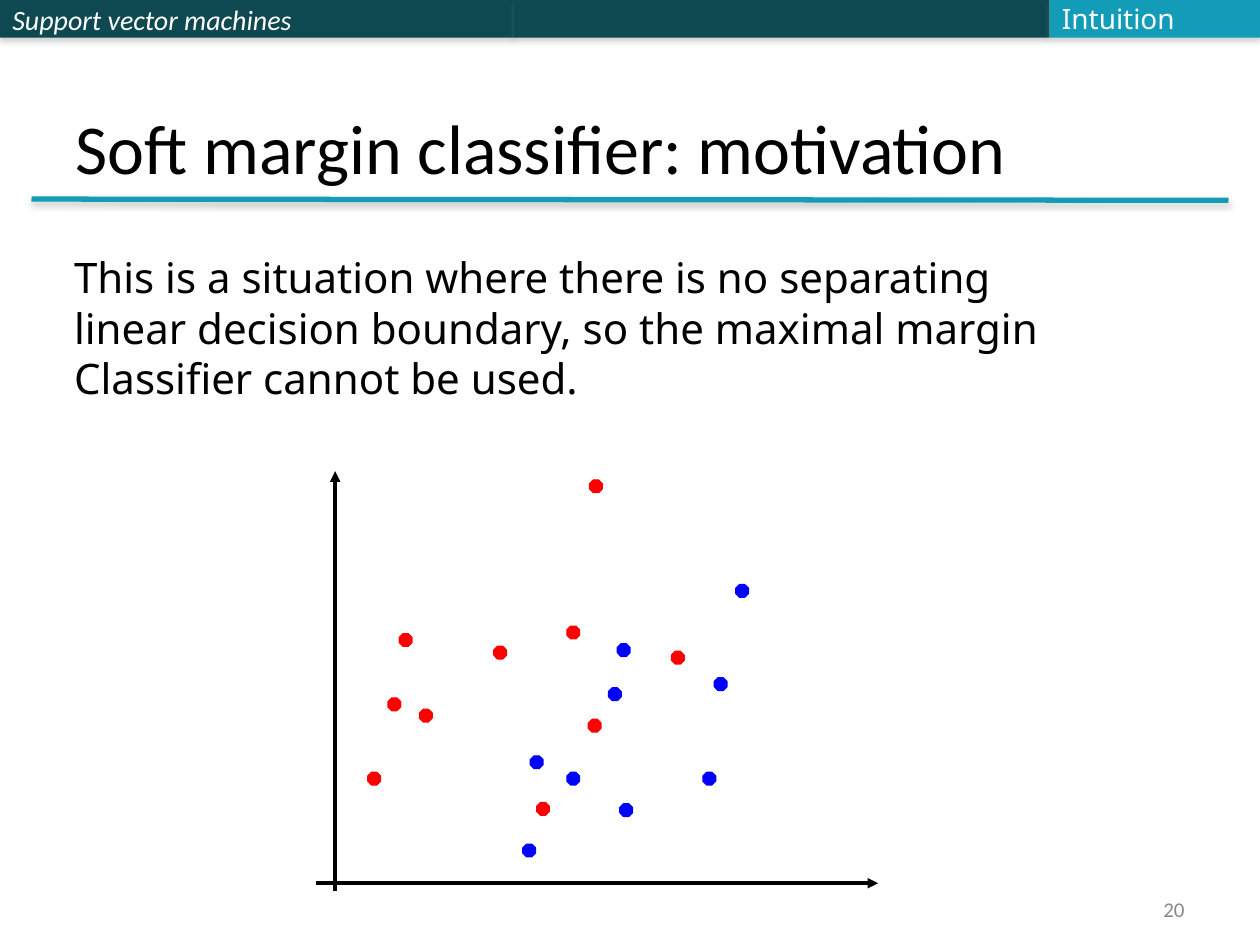
from lxml import etree
from pptx import Presentation
from pptx.dml.color import RGBColor
from pptx.enum.shapes import MSO_CONNECTOR, MSO_SHAPE
from pptx.enum.text import MSO_ANCHOR, PP_ALIGN
from pptx.oxml.ns import qn
from pptx.util import Inches, Pt

RECTANGLE, OCTAGON = MSO_SHAPE.RECTANGLE, MSO_SHAPE.OCTAGON
STRAIGHT = MSO_CONNECTOR.STRAIGHT
TOP, MIDDLE, BOTTOM = MSO_ANCHOR.TOP, MSO_ANCHOR.MIDDLE, MSO_ANCHOR.BOTTOM
LEFT, RIGHT = PP_ALIGN.LEFT, PP_ALIGN.RIGHT

COLORS = {
    "dark teal": "0E4851", "teal": "139CB7", "shadow": "808080",
    "black": "000000", "white": "FFFFFF", "off white": "FBFCFF",
    "gray": "898989", "red": "FF0000", "blue": "0000FF",
}


def write(shape, lines, font, size, color, anchor=TOP, align=LEFT, italic=False):
    """Fill a shape with one paragraph per line, all in one style."""
    frame = shape.text_frame
    frame.vertical_anchor = anchor
    for index, line in enumerate(lines):
        paragraph = frame.add_paragraph() if index else frame.paragraphs[0]
        paragraph.alignment = align
        run = paragraph.add_run()
        run.text = line
        run.font.name = font
        run.font.size = Pt(size)
        run.font.italic = italic
        run.font.color.rgb = RGBColor.from_string(COLORS[color])


def set_shadow(shape, opacity=0, distance=0):
    """Replace the theme shadow by a soft one below, or by none."""
    properties = shape._element.spPr
    effects = etree.SubElement(properties, qn("a:effectLst"))
    if opacity:
        outer = etree.SubElement(
            effects, qn("a:outerShdw"), blurRad=str(Pt(3.1)),
            dist=str(Pt(distance)), dir="5400000", rotWithShape="0")
        tone = etree.SubElement(outer, qn("a:srgbClr"), val=COLORS["shadow"])
        etree.SubElement(tone, qn("a:alpha"), val=str(opacity * 1000))


prs = Presentation()
prs.slide_width, prs.slide_height = Inches(10), Inches(7.5)
slide = prs.slides.add_slide(prs.slide_layouts[5])
shapes = slide.shapes

# Header bar
header_parts = []
for left, width, color in [(0, 4.08, "dark teal"), (4.08, 4.25, "dark teal"),
                           (8.33, 1.67, "teal")]:
    part = shapes.add_shape(RECTANGLE, Inches(left), 0, Inches(width), Inches(0.3))
    part.fill.solid()
    part.fill.fore_color.rgb = RGBColor.from_string(COLORS[color])
    part.line.fill.background()
    set_shadow(part, 35, 1.8)
    header_parts.append(part)
write(header_parts[0], ["Support vector machines"], "Calibri", 16, "white",
      MIDDLE, italic=True)

# Title
title = shapes.title
title.left, title.top = Inches(0.5), Inches(0.3)
title.width, title.height = Inches(9), Inches(1.25)
write(title, ["Soft margin classifier: motivation"], "Calibri", 40, "black", BOTTOM)

# Rule under the title and the two axes
for x1, y1, x2, y2, color, weight, is_axis in [
    (0.25, 1.58, 9.75, 1.59, "teal", 3, False),
    (2.66, 7.07, 2.66, 3.74, "black", 2, True),
    (2.51, 7.01, 6.97, 7.01, "black", 2, True),
]:
    line = shapes.add_connector(STRAIGHT, Inches(x1), Inches(y1), Inches(x2), Inches(y2))
    line.line.color.rgb = RGBColor.from_string(COLORS[color])
    line.line.width = Pt(weight)
    if is_axis:
        etree.SubElement(line.line._get_or_add_ln(), qn("a:tailEnd"), type="triangle")
        set_shadow(line)
    else:
        set_shadow(line, 38, 1.6)

# Observations of the two classes: left and top of each dot
observations = {
    "red": [(4.67, 5.71), (3.17, 5.03), (3.33, 5.63), (2.92, 6.13), (4.5, 4.97),
            (4.26, 6.37), (3.08, 5.54), (3.92, 5.13), (5.33, 5.17), (4.68, 3.81)],
    "blue": [(4.9, 5.11), (4.5, 6.13), (5.58, 6.13), (4.15, 6.7), (4.83, 5.46),
             (4.21, 6), (4.92, 6.38), (5.67, 5.38), (5.84, 4.64)],
}
for color, points in observations.items():
    for x, y in points:
        dot = shapes.add_shape(OCTAGON, Inches(x), Inches(y), Inches(0.1), Inches(0.1))
        dot.fill.solid()
        dot.fill.fore_color.rgb = RGBColor.from_string(COLORS[color])
        dot.line.color.rgb = RGBColor.from_string(COLORS[color])
        dot.line.width = Pt(0.75)
        dot.shadow.inherit = False

# Slide number, explanation and section name
page_number = shapes.add_textbox(Inches(7.17), Inches(7.08), Inches(2.33), Inches(0.27))
page_number.text_frame.word_wrap = True
write(page_number, ["20"], "Calibri", 12, "gray", MIDDLE, RIGHT)

explanation = shapes.add_textbox(Inches(0.49), Inches(1.95), Inches(8.34), Inches(1.72))
explanation.text_frame.word_wrap = False
write(explanation, ["This is a situation where there is no separating",
                    "linear decision boundary, so the maximal margin",
                    "Classifier cannot be used."], "Noto Sans", 24, "black")

section = shapes.add_textbox(Inches(8.33), Inches(-0.04), Inches(1.12), Inches(0.37))
section.text_frame.word_wrap = False
write(section, ["Intuition"], "Noto Sans", 16, "off white", MIDDLE)

prs.save("out.pptx")
